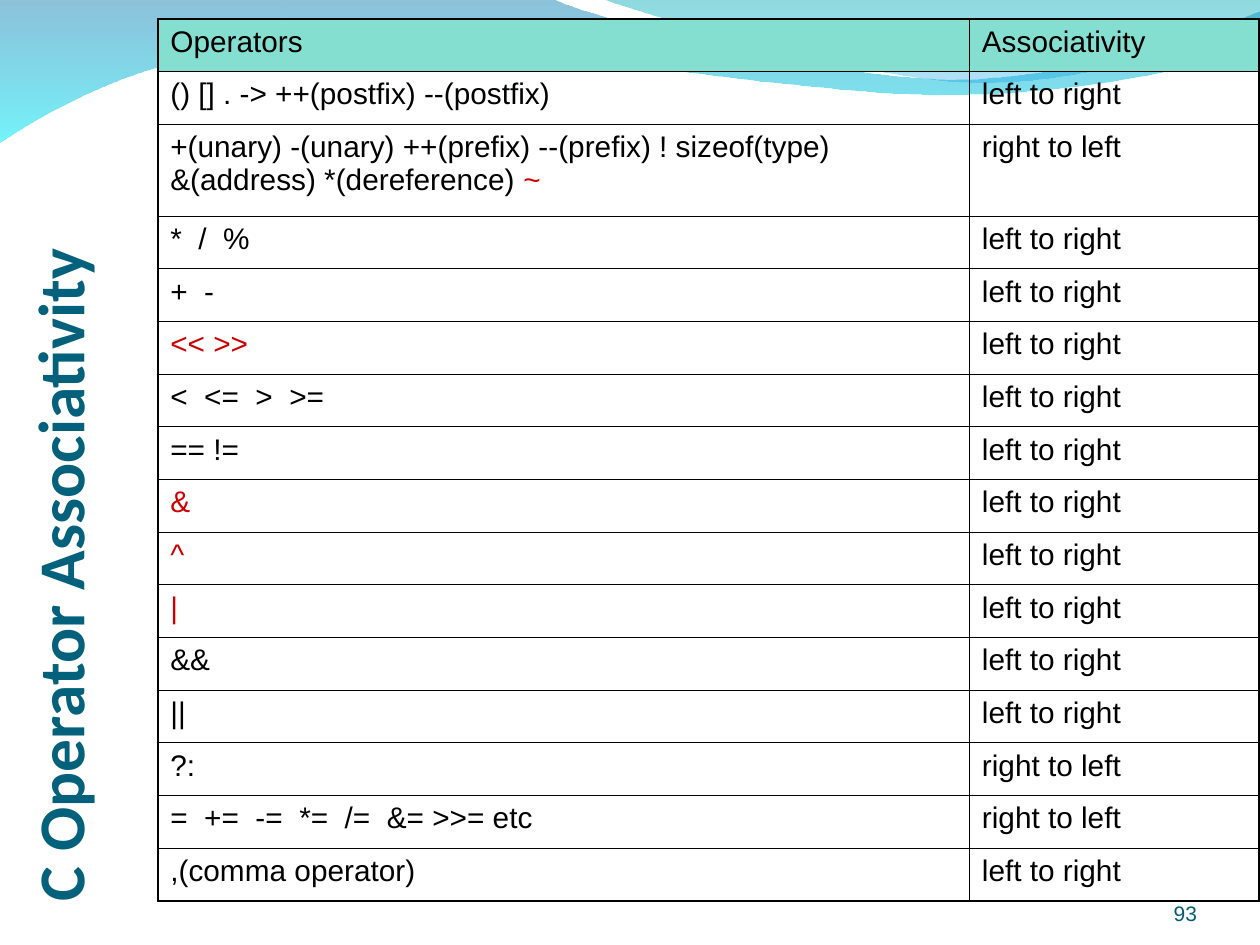
import pptx
import pptx.dml.color
import pptx.enum.text
import pptx.oxml
import pptx.oxml.ns
import pptx.util
from dataclasses import dataclass
from pptx.util import Cm

TITLE = "C Operator Associativity"
SLIDE_NUMBER = "93"
HEADINGS = ("Operators", "Associativity")
LEFT, RIGHT = "left to right", "right to left"

# Operators in plain colour, operators in accent colour, associativity
OPERATORS = [
    ("() [] . -> ++(postfix) --(postfix)", "", LEFT),
    ("+(unary) -(unary) ++(prefix) --(prefix) ! sizeof(type) "
     "&(address) *(dereference) ", "~", RIGHT),
    ("*  /  %", "", LEFT),
    ("+  -", "", LEFT),
    ("", "<< >>", LEFT),
    ("<  <=  >  >=", "", LEFT),
    ("== !=", "", LEFT),
    ("", "&", LEFT),
    ("", "^", LEFT),
    ("", "|", LEFT),
    ("&&", "", LEFT),
    ("||", "", LEFT),
    ("?:", "", RIGHT),
    ("=  +=  -=  *=  /=  &= >>= etc", "", RIGHT),
    (",(comma operator)", "", LEFT),
]

# Outlines in cm: a pair is a straight step, six numbers are a Bézier curve.
# Gradient stops are (colour, opacity in percent), from top to bottom.
WAVES = [
    {"outline": [(0, 0), (11.18, 0),
                 (12.09, 0.43, 16.87, 1.6, 19.25, 1.6),
                 (21.67, 1.6, 24.33, 0.66, 25.4, 0.23),
                 (25.4, 0.91),
                 (24.97, 1.12, 22.1, 1.93, 18.95, 1.91),
                 (15.8, 1.91, 9.7, 0.71, 6.53, 0.86),
                 (3.28, 0.89, 1.17, 2.11, 0, 2.87)],
     "stops": [("0079AF", 45), ("00EBF8", 55)]},
    {"outline": [(12.17, 0),
                 (12.93, 0.28, 17.32, 1.57, 19.53, 1.65),
                 (21.74, 1.75, 24.41, 0.81, 25.4, 0.53),
                 (25.4, 0)],
     "stops": [("00ADB6", 45), ("009BE5", 30)]},
]


@dataclass(frozen=True)
class Theme:
    title_font: str = "Calibri"
    body_font: str = "Arial"
    title_size: float = 37.4
    table_size: float = 17
    number_size: float = 12
    title: str = "04617B"
    number: str = "045C75"
    text: str = "000000"
    accent: str = "CC0000"
    header: str = "85DFD0"
    border: str = "000000"
    outer_border: float = 1.08
    inner_border: float = 0.45


THEME = Theme()
NAMESPACE = pptx.oxml.ns.nsdecls("a")
qn = pptx.oxml.ns.qn


def rgb(value):
    return pptx.dml.color.RGBColor.from_string(value)


def set_font(font, name, size, color, bold=False):
    font.name, font.size, font.bold = name, pptx.util.Pt(size), bold
    font.color.rgb = rgb(color)


def bend_curves(shape, outline):
    """Replace the straight segments that stand for curves by Bézier segments."""
    segments = list(shape._element.iter(qn("a:lnTo")))
    for segment, step in zip(segments, outline[1:]):
        if len(step) == 6:
            points = "".join(
                f'<a:pt x="{Cm(x) - shape.left}" y="{Cm(y) - shape.top}"/>'
                for x, y in zip(step[::2], step[1::2]))
            curve = pptx.oxml.parse_xml(
                f"<a:cubicBezTo {NAMESPACE}>{points}</a:cubicBezTo>")
            segment.getparent().replace(segment, curve)


def add_wave(slide, outline, stops):
    ends = [(Cm(step[-2]), Cm(step[-1])) for step in outline]
    builder = slide.shapes.build_freeform(*ends[0])
    builder.add_line_segments(ends[1:], close=True)
    shape = builder.convert_to_shape()
    bend_curves(shape, outline)
    shape.shadow.inherit = False
    shape.line.fill.background()
    shape.fill.gradient()
    shape.fill.gradient_angle = 270
    for stop, (color, _) in zip(shape.fill.gradient_stops, stops):
        stop.color.rgb = rgb(color)
    colors = list(shape._element.iter(qn("a:srgbClr")))
    for color, (_, opacity) in zip(colors, stops):
        color.append(pptx.oxml.parse_xml(
            f'<a:alpha {NAMESPACE} val="{opacity * 1000}"/>'))


def set_borders(cell, outer_sides):
    properties = cell._tc.get_or_add_tcPr()
    for index, side in enumerate("LRTB"):
        points = THEME.outer_border if side in outer_sides else THEME.inner_border
        properties.insert(index, pptx.oxml.parse_xml(
            f'<a:ln{side} {NAMESPACE} w="{pptx.util.Pt(points)}">'
            f'<a:solidFill><a:srgbClr val="{THEME.border}"/></a:solidFill>'
            f'</a:ln{side}>'))


def add_operator_table(slide):
    rows = [(HEADINGS[0], "", HEADINGS[1])] + OPERATORS
    column_widths = (Cm(16.36), Cm(5.84))
    height, tall_row_height = Cm(17.78), Cm(1.85)
    row_height = (height - tall_row_height) // (len(rows) - 1)
    table = slide.shapes.add_table(
        len(rows), 2, Cm(3.18), Cm(0.38), sum(column_widths), height).table
    table.first_row = table.horz_banding = False
    for column, width in zip(table.columns, column_widths):
        column.width = width
    for row_index, (plain, accent, associativity) in enumerate(rows):
        table.rows[row_index].height = tall_row_height if plain and accent else row_height
        cell_runs = ([(plain, THEME.text), (accent, THEME.accent)],
                     [(associativity, THEME.text)])
        for column_index, runs in enumerate(cell_runs):
            cell = table.cell(row_index, column_index)
            if row_index == 0:
                cell.fill.solid()
                cell.fill.fore_color.rgb = rgb(THEME.header)
            else:
                cell.fill.background()
            outer_sides = "LR"[column_index]
            outer_sides += "T" if row_index == 0 else ""
            outer_sides += "B" if row_index == len(rows) - 1 else ""
            set_borders(cell, outer_sides)
            paragraph = cell.text_frame.paragraphs[0]
            set_font(paragraph.font, THEME.body_font, THEME.table_size, THEME.text)
            for text, color in runs:
                if text:
                    run = paragraph.add_run()
                    run.text = text
                    run.font.color.rgb = rgb(color)


def add_slide_number(slide):
    box = slide.shapes.add_textbox(Cm(22.02), Cm(17.65), Cm(2.11), Cm(1.02))
    frame = box.text_frame
    frame.word_wrap = True
    frame.margin_left = frame.margin_right = frame.margin_top = frame.margin_bottom = 0
    frame.vertical_anchor = pptx.enum.text.MSO_ANCHOR.BOTTOM
    paragraph = frame.paragraphs[0]
    paragraph.text = SLIDE_NUMBER
    paragraph.alignment = pptx.enum.text.PP_ALIGN.RIGHT
    set_font(paragraph.font, THEME.body_font, THEME.number_size, THEME.number)


def format_title(title):
    title.left, title.top, title.width, title.height = Cm(-7.4), Cm(8.48), Cm(17.78), Cm(2.11)
    title.rotation = 270
    frame = title.text_frame
    frame.auto_size = pptx.enum.text.MSO_AUTO_SIZE.NONE
    frame.vertical_anchor = pptx.enum.text.MSO_ANCHOR.TOP
    paragraph = frame.paragraphs[0]
    paragraph.text = TITLE
    paragraph.alignment = pptx.enum.text.PP_ALIGN.LEFT
    paragraph.line_spacing = 0.9
    set_font(paragraph.font, THEME.title_font, THEME.title_size, THEME.title, bold=True)
    title._element.getparent().append(title._element)  # bring to front


presentation = pptx.Presentation()
presentation.slide_width, presentation.slide_height = Cm(25.4), Cm(19.05)
slide = presentation.slides.add_slide(presentation.slide_layouts[5])
for wave in WAVES:
    add_wave(slide, **wave)
add_slide_number(slide)
add_operator_table(slide)
format_title(slide.shapes.title)
presentation.save("out.pptx")
